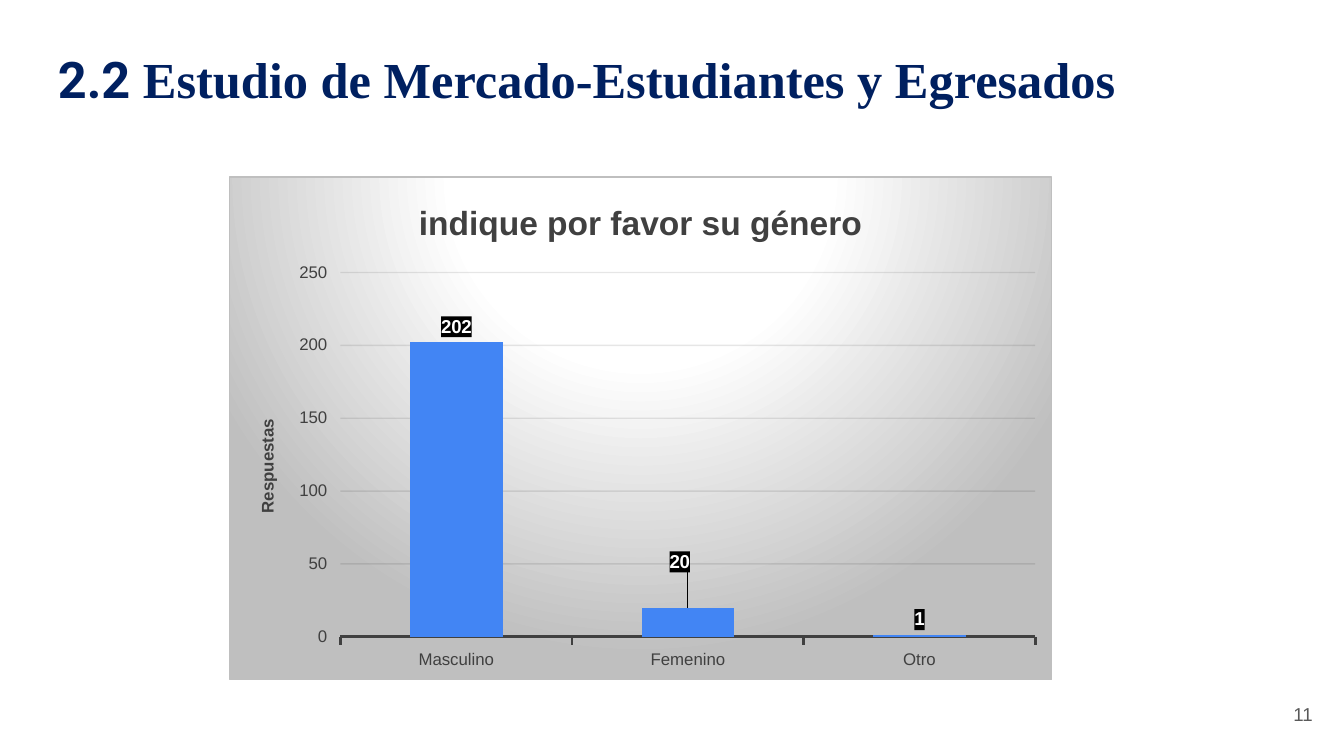
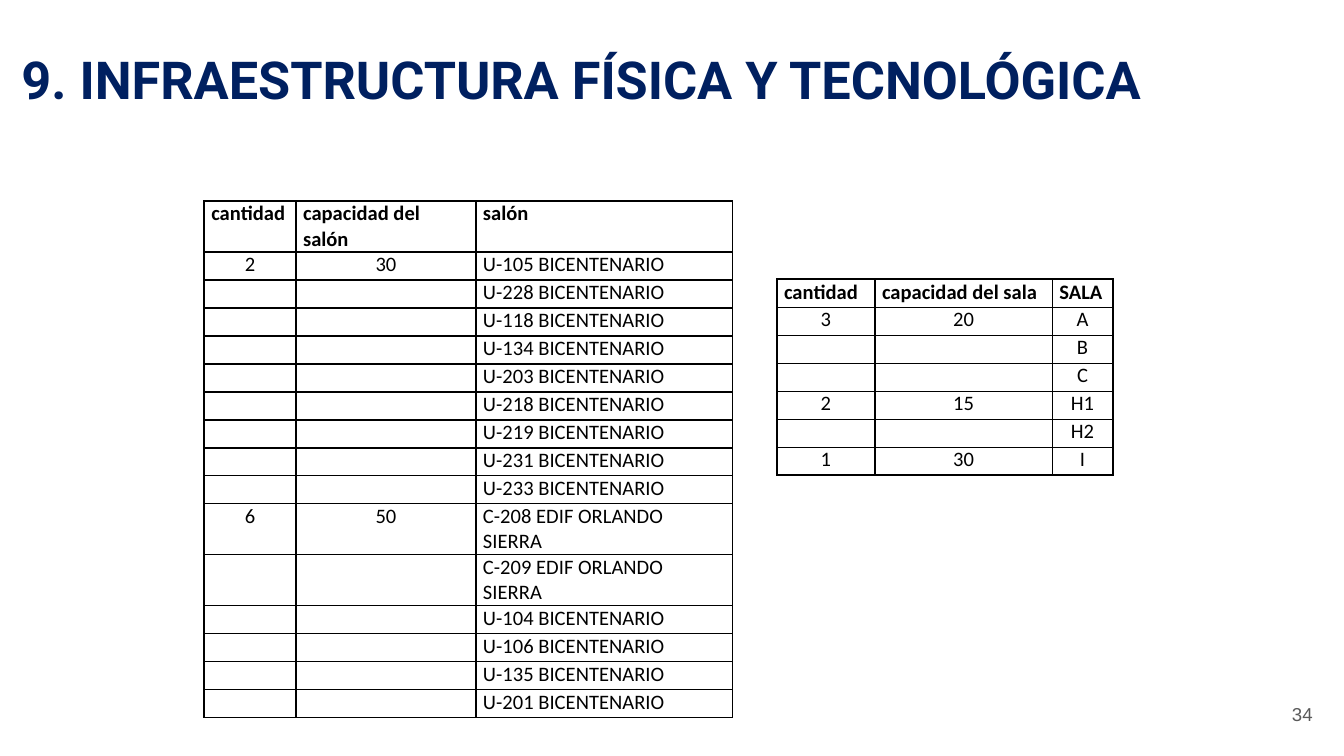
from copy import deepcopy

from lxml import etree
from pptx import Presentation
from pptx import util as u
from pptx.chart.data import CategoryChartData
from pptx.dml.color import RGBColor
from pptx.enum import chart as ch
from pptx.enum import text as tx
from pptx.oxml import parse_xml
from pptx.oxml.ns import nsdecls, qn

Pt = u.Pt
HUES = {"navy": "002060", "ink": "000000", "gray": "595959", "dark": "404040",
        "blue": "4285F4", "white": "FFFFFF", "edge": "BFBFBF", "grid": "0D0D0D"}
LEFT, MID, RIGHT = tx.PP_ALIGN.LEFT, tx.PP_ALIGN.CENTER, tx.PP_ALIGN.RIGHT
TOP, CORE = tx.MSO_ANCHOR.TOP, tx.MSO_ANCHOR.MIDDLE
ROW = 15

ROOMS = [("cantidad", "capacidad del salón", "salón")]
ROOMS += [("", "", f"U-{n} BICENTENARIO") for n in (105, 228, 118, 134, 203, 218, 219, 231, 233)]
ROOMS += [("", "", f"C-{n} EDIF ORLANDO SIERRA") for n in (208, 209)]
ROOMS += [("", "", f"U-{n} BICENTENARIO") for n in (104, 106, 135, 201)]
ROOMS[1] = ("2", "30", ROOMS[1][2])
ROOMS[10] = ("6", "50", ROOMS[10][2])
LABS = [("cantidad", "capacidad del sala", "SALA"),
        ("3", "20", "A"), ("", "", "B"), ("", "", "C"),
        ("2", "15", "H1"), ("", "", "H2"), ("1", "30", "I")]


def rgb(hue):
    """Return the colour for a name."""
    return RGBColor.from_string(HUES[hue])


def style(font, face="Arial", size=10, hue="ink", bold=False):
    """Format a font."""
    font.name, font.size, font.bold = face, Pt(size), bold
    font.color.rgb = rgb(hue)


def write(frame, words, align=LEFT, space=1.0, **look):
    """Add a formatted run to the first paragraph of a frame."""
    para = frame.paragraphs[0]
    para.alignment, para.line_spacing = align, space
    run = para.add_run()
    run.text = words
    style(run.font, **look)


def fit(frame, x, y, anchor=TOP):
    """Set the insets, wrapping and anchor of a frame."""
    frame.margin_left = frame.margin_right = Pt(x)
    frame.margin_top = frame.margin_bottom = Pt(y)
    frame.word_wrap, frame.auto_size = True, tx.MSO_AUTO_SIZE.NONE
    frame.vertical_anchor = anchor


def start(deck, runs, box, pad, number, space=1.0):
    """Add a slide with its title and page number."""
    slide = deck.slides.add_slide(deck.slide_layouts[5])
    head = slide.shapes.title
    head.left, head.top, head.width, head.height = map(Pt, box)
    fit(head.text_frame, 7.2, pad)
    for words, face, size in runs:
        write(head.text_frame, words, space=space, face=face, size=size, hue="navy", bold=True)
    page = slide.shapes.add_textbox(*map(Pt, (667.1, 367.2, 43.2, 31))).text_frame
    fit(page, 7.2, 7.2, CORE)
    write(page, number, align=RIGHT, hue="gray")
    return slide


def place(x, y, w=None, h=None, inner=False):
    """Return a manual chart layout as fractions of its box."""
    tags = '<c:layoutTarget val="inner"/>' if inner else ""
    if inner:
        tags += '<c:xMode val="edge"/><c:yMode val="edge"/>'
    sizes = zip("xywh", (x, y, w, h))
    tags += "".join(f'<c:{key} val="{val}"/>' for key, val in sizes if val is not None)
    return parse_xml(f'<c:layout {nsdecls("c")}><c:manualLayout>{tags}</c:manualLayout></c:layout>')


def paint(body):
    """Return chart shape properties around a fill."""
    return parse_xml(f'<c:spPr {nsdecls("c", "a")}>{body}</c:spPr>')


def solid(hue, alpha):
    """Return a partly clear solid fill as markup."""
    return (f'<a:solidFill><a:srgbClr val="{HUES[hue]}">'
            f'<a:alpha val="{alpha * 1000}"/></a:srgbClr></a:solidFill>')


def back(chart):
    """Give the chart its radial backdrop and border."""
    stops = "".join(f'<a:gs pos="{pos * 1000}"><a:srgbClr val="{HUES[hue]}"/></a:gs>'
                    for pos, hue in ((0, "white"), (39, "white"), (100, "edge")))
    fill = (f'<a:gradFill><a:gsLst>{stops}</a:gsLst><a:path path="circle">'
            '<a:fillToRect l="50000" t="-80000" r="50000" b="180000"/></a:path></a:gradFill>')
    line = f'<a:ln w="{Pt(0.75)}">{solid("edge", 100)}</a:ln>'
    chart._chartSpace.find(qn("c:chart")).addnext(paint(fill + line))


def label(series):
    """Show values on dark tags and shift the second tag."""
    tags = series.data_labels
    tags.show_value, tags.position = True, ch.XL_LABEL_POSITION.OUTSIDE_END
    style(tags.font, hue="white", bold=True)
    root = tags._element
    root.find(qn("c:txPr")).addprevious(paint(solid("ink", 75)))
    kids = [deepcopy(kid) for kid in root if kid.tag != qn("c:showLeaderLines")]
    tag = etree.Element(qn("c:dLbl"))
    etree.SubElement(tag, qn("c:idx")).set("val", "1")
    tag.append(place(-0.01, -0.06))
    tag.extend(kids)
    root.insert(0, tag)


def bars(slide, box):
    """Draw the column chart of answers."""
    data = CategoryChartData()
    data.categories = ["Masculino", "Femenino", "Otro"]
    data.add_series("Series 1", (202, 20, 1))
    kind = ch.XL_CHART_TYPE.COLUMN_CLUSTERED
    chart = slide.shapes.add_chart(kind, *map(Pt, box), data).chart
    chart.has_legend = False
    style(chart.font)
    chart.has_title = True
    write(chart.chart_title.text_frame, "indique por favor su género",
          align=MID, size=18, hue="dark", bold=True)
    chart.chart_title.include_in_layout = False
    plot = chart.plots[0]
    plot.gap_width, plot.vary_by_categories = 150, False
    series = plot.series[0]
    series.format.fill.solid()
    series.format.fill.fore_color.rgb = rgb("blue")
    label(series)

    cat, val = chart.category_axis, chart.value_axis
    for axis in (cat, val):
        axis.major_tick_mark = ch.XL_TICK_MARK.OUTSIDE
        axis.minor_tick_mark = ch.XL_TICK_MARK.NONE
        style(axis.tick_labels.font, size=9, hue="dark")
    cat.has_major_gridlines = False
    cat.format.line.color.rgb, cat.format.line.width = rgb("dark"), Pt(1.5)
    val.format.line.fill.background()
    val.minimum_scale, val.maximum_scale, val.major_unit = 0, 250, 50
    val.has_title = True
    write(val.axis_title.text_frame, "Respuestas", align=MID, size=9, hue="dark", bold=True)
    val.has_major_gridlines = True
    grid = val.major_gridlines._xAx.find(qn("c:majorGridlines"))
    grid.append(paint(f'<a:ln w="{Pt(0.75)}">{solid("grid", 10)}</a:ln>'))

    area = chart._chartSpace.find(".//" + qn("c:plotArea"))
    for old in area.findall(qn("c:layout")):
        area.remove(old)
    area.insert(0, place(0.135, 0.19, 0.845, 0.725, inner=True))
    back(chart)


def edge(cell, sides):
    """Draw the four borders of a cell."""
    props = cell._tc.get_or_add_tcPr()
    for side, outer in sides.items():
        props.append(parse_xml(f'<a:ln{side} {nsdecls("a")} w="{Pt(1 if outer else 0.75)}">'
                               f'{solid("ink", 100)}</a:ln{side}>'))


def sheet(slide, x, y, cols, rows, last=LEFT, fill=None):
    """Draw a bordered table of rooms."""
    high, wide = len(rows), len(cols)
    table = slide.shapes.add_table(high, wide, Pt(x), Pt(y), Pt(sum(cols)), Pt(high * ROW)).table
    table.first_row = table.horz_banding = False
    for col, width in zip(table.columns, cols):
        col.width = Pt(width)
    for i, row in enumerate(rows):
        table.rows[i].height = Pt(ROW)
        for j, words in enumerate(row):
            cell = table.cell(i, j)
            cell.margin_left = cell.margin_right = Pt(3.8)
            cell.margin_top = cell.margin_bottom = 0
            edge(cell, {"L": j == 0, "R": j == wide - 1, "T": i == 0, "B": i == high - 1})
            if fill and j == wide - 1:
                cell.fill.solid()
                cell.fill.fore_color.rgb = rgb(fill)
            else:
                cell.fill.background()
            if words:
                align = LEFT if i == 0 else last if j == wide - 1 else MID
                write(cell.text_frame, words, align=align, face="Calibri", size=11, bold=i == 0)
            else:
                end = cell.text_frame.paragraphs[0]._p.get_or_add_endParaRPr()
                end.set("sz", "1100")


def survey(deck):
    """Build the survey slide."""
    runs = [("2.2 ", "Roboto", 27),
            ("Estudio de Mercado-Estudiantes y Egresados", "Times New Roman", 27)]
    slide = start(deck, runs, (23.8, 22.3, 630.7, 40.3), 3.6, "11")
    bars(slide, (122.6, 94.5, 441.2, 270))


def campus(deck):
    """Build the slide of rooms and labs."""
    runs = [("9. INFRAESTRUCTURA FÍSICA Y TECNOLÓGICA", "Roboto", 28)]
    slide = start(deck, runs, (4.3, 13, 630.7, 62.6), 7.2, "34", space=1.15)
    sheet(slide, 109.4, 107.8, (49.2, 96.4, 137.4), ROOMS)
    sheet(slide, 416.2, 149.6, (52.5, 95, 32.5), LABS, last=MID, fill="white")


def main():
    """Build and save the deck."""
    deck = Presentation()
    deck.slide_width, deck.slide_height = Pt(720), Pt(405)
    survey(deck)
    campus(deck)
    deck.save("out.pptx")


if __name__ == "__main__":
    main()
